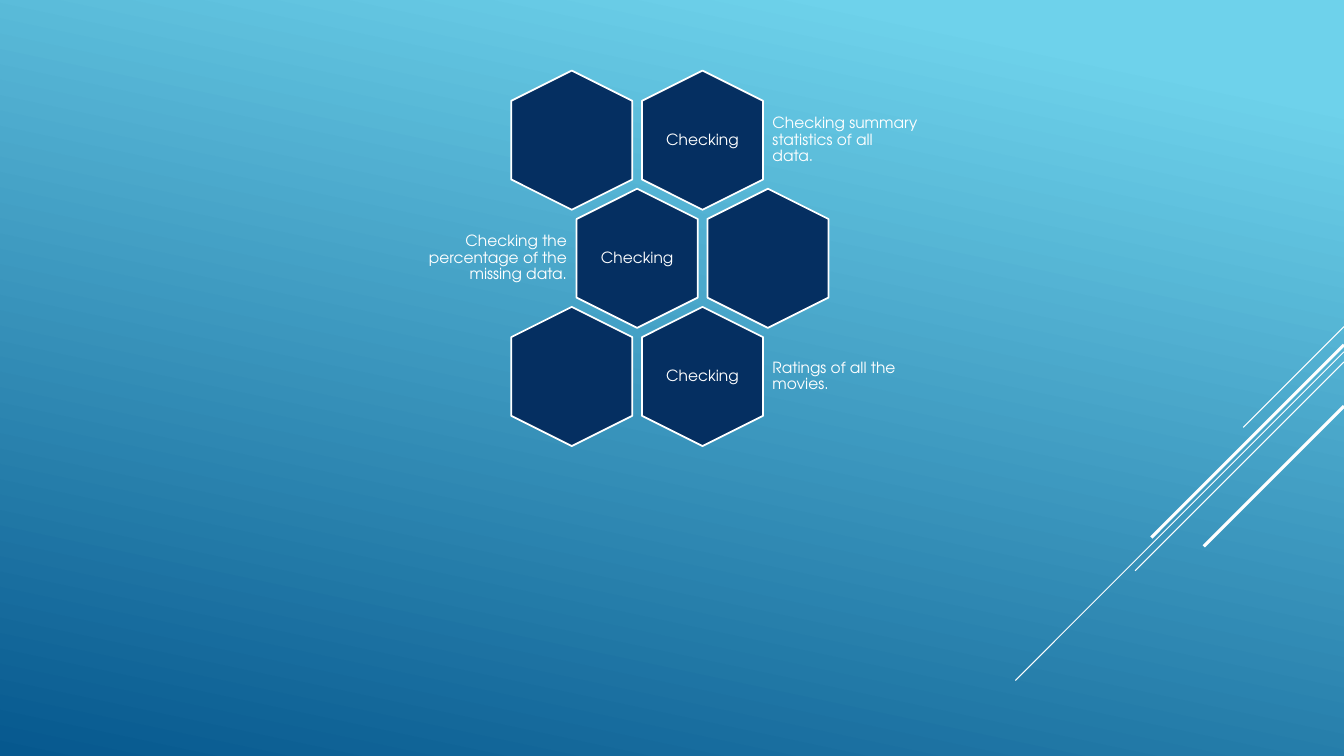
from dataclasses import dataclass

from lxml import etree
from pptx import Presentation
from pptx.dml.color import RGBColor
from pptx.enum.shapes import MSO_CONNECTOR, MSO_SHAPE
from pptx.enum.text import MSO_ANCHOR, PP_ALIGN
from pptx.oxml.ns import qn
from pptx.util import Pt

STRAIGHT = MSO_CONNECTOR.STRAIGHT
HEXAGON = MSO_SHAPE.HEXAGON
MIDDLE = MSO_ANCHOR.MIDDLE
LEFT, CENTER, RIGHT = PP_ALIGN.LEFT, PP_ALIGN.CENTER, PP_ALIGN.RIGHT

PAGE_WIDTH, PAGE_HEIGHT = 960, 540
HEXAGON_LENGTH, HEXAGON_WIDTH = 99.4, 86.5
COLUMN_STEP, ROW_STEP = 93.4, 84.4
FIRST_X, FIRST_Y = 408.4, 100.1
LABEL_WIDTH, LABEL_HEIGHT = 60, 68.4
CAPTION_HEIGHT, CAPTION_GAP = 60, 46.4

RAYS = [
    (233.3, 72, 0.75),
    (251.3, 234.7, 0.75),
    (258.5, 149.2, 0.75),
    (246.3, 137.6, 2.25),
    (290.1, 100.2, 2.25),
]

ROWS = [
    (1, "Checking", "Checking summary statistics of all data.", LEFT, 111),
    (0, "Checking", "Checking the percentage of the missing data.", RIGHT, 107.3),
    (1, "Checking", "Ratings of all the movies.", LEFT, 111),
]


@dataclass(frozen=True)
class Theme:
    sky: RGBColor = RGBColor.from_string("6ED2EB")
    deep: RGBColor = RGBColor.from_string("06588E")
    navy: RGBColor = RGBColor.from_string("052F61")
    white: RGBColor = RGBColor.from_string("FFFFFF")
    font: str = "TeX Gyre Adventor"
    text_size: float = 11
    outline: float = 1.25


class Canvas:
    def __init__(self, page, theme):
        self.page = page
        self.theme = theme

    def background(self):
        fill = self.page.background.fill
        fill.gradient()
        fill.gradient_angle = 258
        stops = [(0.1, self.theme.sky), (1, self.theme.deep)]
        for stop, (position, color) in zip(fill.gradient_stops, stops):
            stop.position = position
            stop.color.rgb = color

    def ray(self, top, reach, weight):
        line = self.page.shapes.add_connector(
            STRAIGHT, Pt(PAGE_WIDTH), Pt(top), Pt(PAGE_WIDTH - reach), Pt(top + reach)
        )
        line.line.color.rgb = self.theme.white
        line.line.width = Pt(weight)
        etree.SubElement(line._element.spPr, qn("a:effectLst"))

    def hexagon(self, x, y):
        shape = self.page.shapes.add_shape(
            HEXAGON,
            Pt(x - HEXAGON_LENGTH / 2),
            Pt(y - HEXAGON_WIDTH / 2),
            Pt(HEXAGON_LENGTH),
            Pt(HEXAGON_WIDTH),
        )
        shape.rotation = 90
        shape.shadow.inherit = False
        shape.fill.solid()
        shape.fill.fore_color.rgb = self.theme.navy
        shape.line.color.rgb = self.theme.white
        shape.line.width = Pt(self.theme.outline)

    def text(self, text, *, left, middle, width, height, align):
        box = self.page.shapes.add_textbox(
            Pt(left), Pt(middle - height / 2), Pt(width), Pt(height)
        )
        frame = box.text_frame
        frame.word_wrap = True
        frame.vertical_anchor = MIDDLE
        frame.margin_left = frame.margin_right = Pt(3.6)
        frame.margin_top = frame.margin_bottom = Pt(3.6)
        para = frame.paragraphs[0]
        para.alignment = align
        para.line_spacing = 0.9
        span = para.add_run()
        span.text = text
        span.font.name = self.theme.font
        span.font.size = Pt(self.theme.text_size)
        span.font.color.rgb = self.theme.white


def main():
    deck = Presentation()
    deck.slide_width, deck.slide_height = Pt(PAGE_WIDTH), Pt(PAGE_HEIGHT)
    canvas = Canvas(deck.slides.add_slide(deck.slide_layouts[6]), Theme())
    canvas.background()
    for top, reach, weight in RAYS:
        canvas.ray(top, reach, weight)

    for row, (labelled, label, caption, align, width) in enumerate(ROWS):
        y = FIRST_Y + row * ROW_STEP
        row_x = FIRST_X + row % 2 * COLUMN_STEP / 2
        for column in range(2):
            canvas.hexagon(row_x + column * COLUMN_STEP, y)
        x = row_x + labelled * COLUMN_STEP
        canvas.text(
            label,
            left=x - LABEL_WIDTH / 2,
            middle=y,
            width=LABEL_WIDTH,
            height=LABEL_HEIGHT,
            align=CENTER,
        )
        canvas.text(
            caption,
            left=x + CAPTION_GAP if align == LEFT else x - CAPTION_GAP - width,
            middle=y,
            width=width,
            height=CAPTION_HEIGHT,
            align=align,
        )
    deck.save("out.pptx")


if __name__ == "__main__":
    main()
